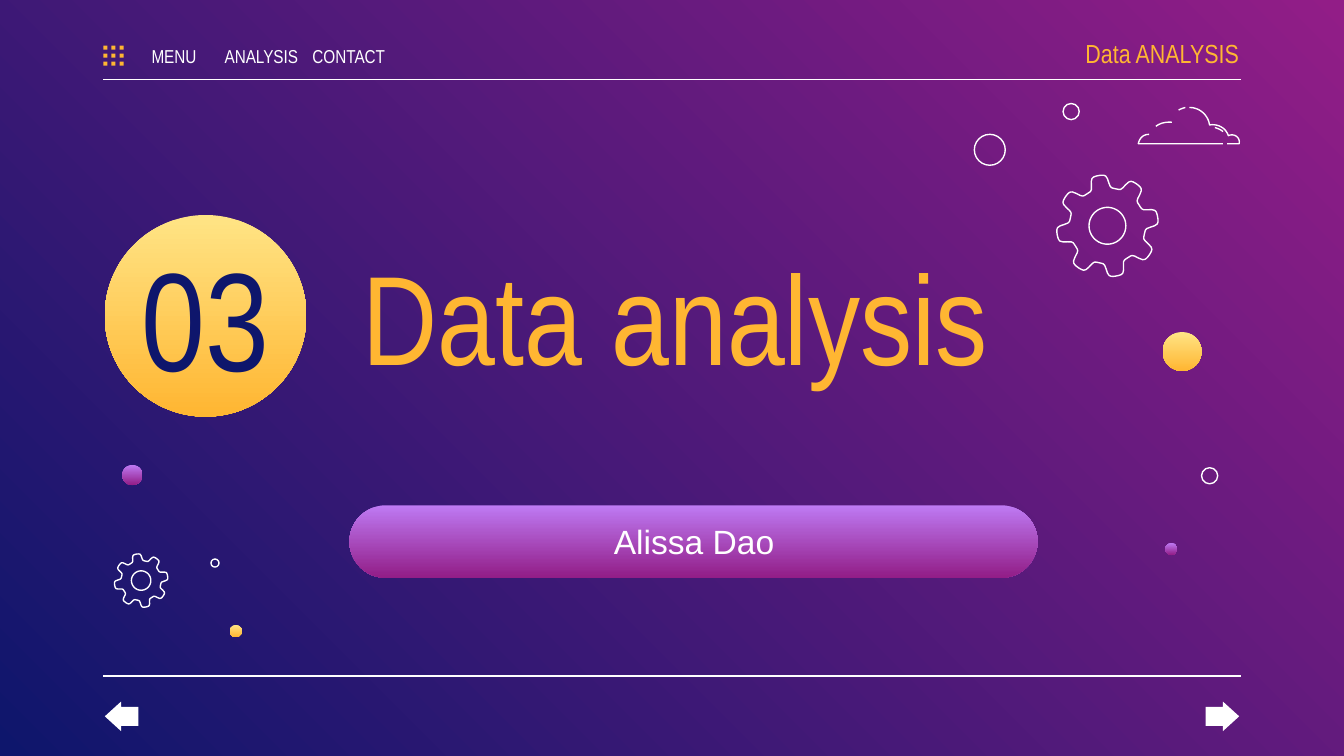
import math

import pptx
import pptx.dml.color
import pptx.enum.shapes
import pptx.enum.text
import pptx.oxml.ns
import pptx.util
from lxml import etree

Inches, Pt = pptx.util.Inches, pptx.util.Pt
Kind = pptx.enum.shapes.MSO_SHAPE
Align = pptx.enum.text.PP_ALIGN
RGB = pptx.dml.color.RGBColor.from_string

HEX = {
    "white": "FFFFFF", "gold": "FFB632", "cream": "FFE485",
    "lilac": "BE7AF3", "plum": "921D87", "navy": "0E166C",
}
SUN = ("cream", "gold")
DUSK = ("lilac", "plum")
NARROW = "Arial Narrow"


def paint(item, fill=None, line=None, angle=270):
    """Fill with a colour name or a pair of them; outline if line is given.

    The item is a shape or the slide background.
    """
    if isinstance(fill, tuple):
        item.fill.gradient()
        item.fill.gradient_angle = angle
        for stop, name, spot in zip(item.fill.gradient_stops, fill, (0, 1)):
            stop.color.rgb = RGB(HEX[name])
            stop.position = spot
    elif fill:
        item.fill.solid()
        item.fill.fore_color.rgb = RGB(HEX[fill])
    else:
        item.fill.background()
    if hasattr(item, "shadow"):
        item.shadow.inherit = False
        if line:
            item.line.color.rgb = RGB(HEX[line])
            item.line.width = Pt(0.75)
        else:
            item.line.fill.background()


def write(text, box, size, color="white", font=NARROW, align=Align.CENTER,
          left=0.1, right=0.1):
    frame = slide.shapes.add_textbox(*map(Inches, box)).text_frame
    frame.word_wrap = True
    frame.vertical_anchor = pptx.enum.text.MSO_ANCHOR.MIDDLE
    frame.margin_left, frame.margin_right = Inches(left), Inches(right)
    frame.margin_top = frame.margin_bottom = Inches(0.1)
    para = frame.paragraphs[0]
    para.alignment = align
    run = para.add_run()
    run.text = text
    run.font.name, run.font.size = font, Pt(size)
    run.font.color.rgb = RGB(HEX[color])


deck = pptx.Presentation()
deck.slide_width = Inches(10)
deck.slide_height = deck.slide_width * 9 // 16
slide = deck.slides.add_slide(deck.slide_layouts[6])
paint(slide.background, ("plum", "navy"), angle=225)

# Header and footer rules
for y in (0.59, 5.03):
    rule = slide.shapes.add_connector(
        pptx.enum.shapes.MSO_CONNECTOR.STRAIGHT,
        Inches(0.77), Inches(y), Inches(9.23), Inches(y))
    rule.line.color.rgb = RGB(HEX["white"])
    rule.line.width = Pt(0.75)
    etree.SubElement(rule._element.spPr, pptx.oxml.ns.qn("a:effectLst"))

# Name pill
pill = slide.shapes.add_shape(Kind.ROUNDED_RECTANGLE,
                              *map(Inches, (2.6, 3.76, 5.12, 0.54)))
pill.adjustments[0] = 0.5
paint(pill, DUSK)

# Discs and rings: left, top, diameter, fill (None for a ring)
rounds = [
    (0.78, 1.6, 1.5, SUN), (8.65, 2.47, 0.29, SUN), (1.71, 4.65, 0.09, SUN),
    (0.91, 3.46, 0.15, DUSK), (8.67, 4.04, 0.09, DUSK),
    (7.91, 0.77, 0.12, None), (8.94, 3.48, 0.12, None),
    (7.25, 1, 0.23, None), (1.57, 4.16, 0.06, None),
]
for x, y, size, fill in rounds:
    disc = slide.shapes.add_shape(Kind.OVAL,
                                  *map(Inches, (x, y, size, size)))
    paint(disc, fill, None if fill else "white")

# Gears: eight soft teeth around a round hole
turns = [math.radians(2 * n) for n in range(180)]
for x, y, size in ((8.24, 1.68, 0.38), (1.05, 4.32, 0.2)):
    rim, hole = [], []
    for turn in turns:
        tooth = math.tanh(2.5 * math.cos(8 * (turn + math.radians(100))))
        for ring, reach in ((rim, 0.87 + 0.13 * tooth), (hole, 0.36)):
            ring.append((Inches(x + size * reach * math.cos(turn)),
                         Inches(y + size * reach * math.sin(turn))))
    pen = slide.shapes.build_freeform(*rim[0])
    pen.add_line_segments(rim[1:], close=True)
    pen.move_to(*hole[0])
    pen.add_line_segments(hole[1:], close=True)
    paint(pen.convert_to_shape(), line="white")

# Cloud: each stroke is a chain of cubic curves
strokes = [
    [(8.85, 0.8), (8.93, 0.8), (8.99, 0.86), (9, 0.93), (9.06, 0.92),
     (9.12, 0.95), (9.14, 1.01), (9.18, 0.99), (9.23, 1.02), (9.22, 1.07),
     (9.22, 1.07), (9.13, 1.07), (9.13, 1.07)],
    [(8.82, 0.8), (8.82, 0.8), (8.78, 0.81), (8.77, 0.82)],
    [(9.1, 1.07), (9.1, 1.07), (8.47, 1.07), (8.47, 1.07), (8.47, 1.07),
     (8.48, 1), (8.55, 1)],
    [(9.04, 0.95), (9.04, 0.95), (9.08, 0.96), (9.1, 0.98)],
    [(8.72, 0.91), (8.72, 0.91), (8.65, 0.9), (8.6, 0.94)],
]
cloud = slide.shapes.add_group_shape()
for stroke in strokes:
    dots = []
    for n in range(0, len(stroke) - 1, 3):
        for t in (step / 10 for step in range(1, 11)):
            share = [math.comb(3, k) * t ** k * (1 - t) ** (3 - k)
                     for k in range(4)]
            dots.append([Inches(sum(s * p[axis] for s, p
                                    in zip(share, stroke[n:n + 4])))
                         for axis in (0, 1)])
    pen = cloud.shapes.build_freeform(*map(Inches, stroke[0]))
    pen.add_line_segments(dots, close=False)
    paint(pen.convert_to_shape(), line="white")

# Footer arrows
for kind, x in ((Kind.LEFT_ARROW, 0.78), (Kind.RIGHT_ARROW, 8.97)):
    arrow = slide.shapes.add_shape(kind, *map(Inches, (x, 5.22, 0.25, 0.22)))
    arrow.adjustments[0], arrow.adjustments[1] = 0.64, 0.55
    paint(arrow, "white")

# Menu icon
icon = slide.shapes.add_group_shape()
for col in range(3):
    for row in range(3):
        cell = icon.shapes.add_shape(
            Kind.RECTANGLE, Inches(0.77 + 0.06 * col),
            Inches(0.34 + 0.06 * row), Inches(0.03), Inches(0.03))
        paint(cell, "gold")

for n, label in enumerate(("MENU", "ANALYSIS", "CONTACT")):
    write(label, (1.01 + 0.65 * n, 0.3, 0.57, 0.23), 10, left=0, right=0)
write("Data ANALYSIS", (7.72, 0.23, 1.5, 0.33), 14, color="gold",
      align=Align.RIGHT, right=0)
write("Data analysis", (2.6, 1.39, 4.86, 1.9), 68, color="gold",
      align=Align.LEFT)
write("03", (0.78, 1.93, 1.5, 0.83), 75, color="navy")
write("Alissa Dao", (2.66, 3.86, 5.01, 0.33), 18, font="Arial")

deck.save("out.pptx")
